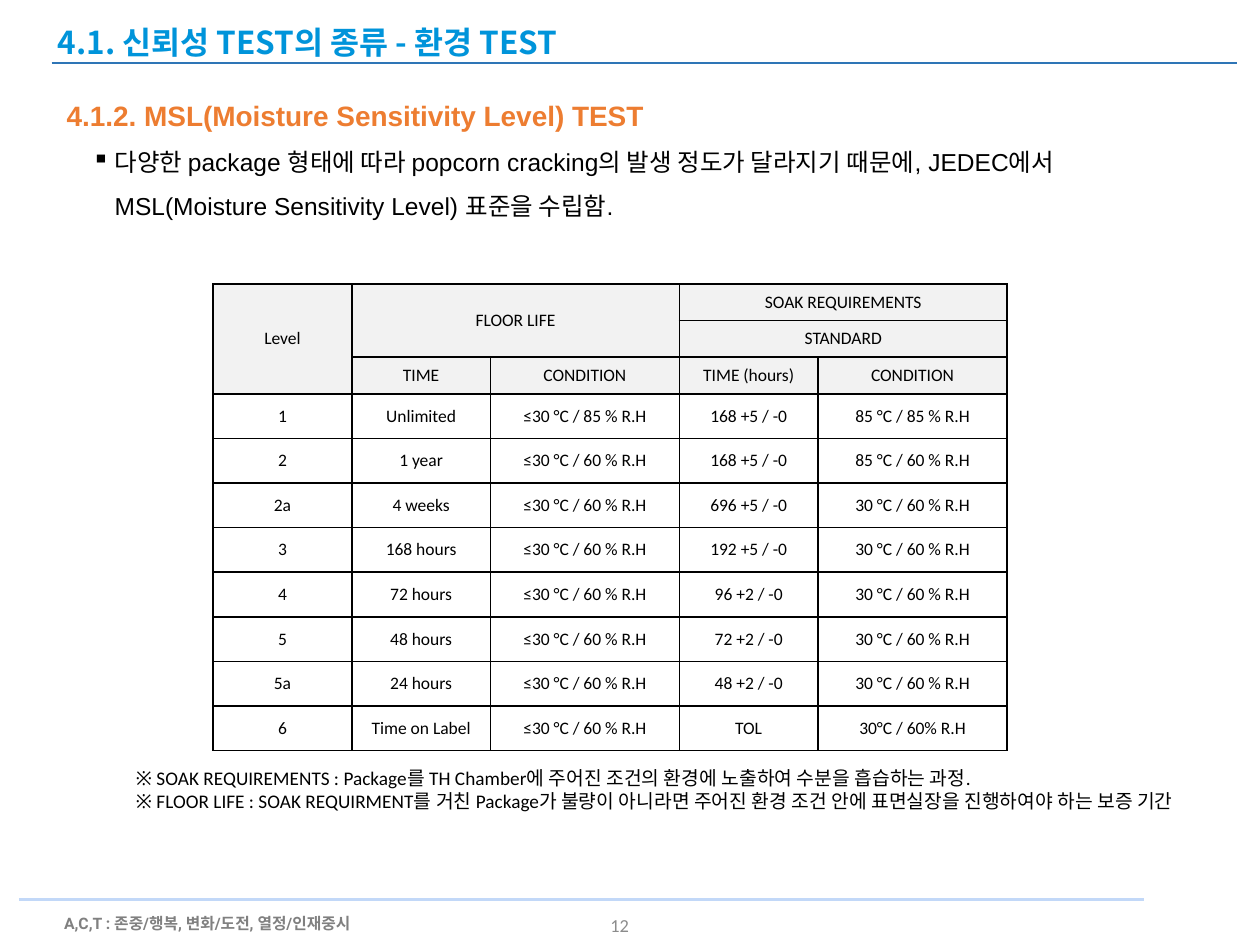
"""Build the MSL test slide with its moisture sensitivity level table."""
from lxml import etree
from pptx import Presentation
from pptx.dml.color import RGBColor
from pptx.enum import shapes, text
from pptx.oxml import ns
from pptx.util import Pt

BLACK = RGBColor(0x00, 0x00, 0x00)
TITLE_BLUE = RGBColor(0x00, 0x94, 0xDA)
RULE_BLUE = RGBColor(0x2E, 0x75, 0xB6)
PALE_BLUE = RGBColor(0xC2, 0xD8, 0xF8)
ORANGE = RGBColor(0xED, 0x7D, 0x31)
FOOTER_GRAY = RGBColor(0x80, 0x80, 0x80)
NUMBER_GRAY = RGBColor(0x8C, 0x8C, 0x8C)
HEADER_GRAY = RGBColor(0xF2, 0xF2, 0xF2)

RULES = [(29.5, 707, 36, RULE_BLUE, 1), (10.8, 653.8, 514, PALE_BLUE, 2.25)]

FOOTER = "A,C,T : 존중/행복, 변화/도전, 열정/인재중시"
TITLE = "4.1. 신뢰성 TEST의 종류 - 환경 TEST"
HEADING = "4.1.2. MSL(Moisture Sensitivity Level) TEST"
SUMMARY = ("다양한 package 형태에 따라 popcorn cracking의 발생 정도가 달라지기 때문에, "
           "JEDEC에서 MSL(Moisture Sensitivity Level) 표준을 수립함.")
NOTES = [
    "※ SOAK REQUIREMENTS : Package를 TH Chamber에 주어진 조건의 환경에 노출하여 수분을 흡습하는 과정.",
    "※ FLOOR LIFE : SOAK REQUIRMENT를 거친 Package가 불량이 아니라면 "
    "주어진 환경 조건 안에 표면실장을 진행하여야 하는 보증 기간",
]

HEADER_ROWS = [
    ("Level", "FLOOR LIFE", "", "SOAK REQUIREMENTS", ""),
    ("", "", "", "STANDARD", ""),
    ("", "TIME", "CONDITION", "TIME (hours)", "CONDITION"),
]
LEVEL_ROWS = [
    ("1", "Unlimited", "≤30 °C / 85 % R.H", "168 +5 / -0", "85 °C / 85 % R.H"),
    ("2", "1 year", "≤30 °C / 60 % R.H", "168 +5 / -0", "85 °C / 60 % R.H"),
    ("2a", "4 weeks", "≤30 °C / 60 % R.H", "696 +5 / -0", "30 °C / 60 % R.H"),
    ("3", "168 hours", "≤30 °C / 60 % R.H", "192 +5 / -0", "30 °C / 60 % R.H"),
    ("4", "72 hours", "≤30 °C / 60 % R.H", "96 +2 / -0", "30 °C / 60 % R.H"),
    ("5", "48 hours", "≤30 °C / 60 % R.H", "72 +2 / -0", "30 °C / 60 % R.H"),
    ("5a", "24 hours", "≤30 °C / 60 % R.H", "48 +2 / -0", "30 °C / 60 % R.H"),
    ("6", "Time on Label", "≤30 °C / 60 % R.H", "TOL", "30°C / 60% R.H"),
]
MERGES = [((0, 0), (2, 0)), ((0, 1), (1, 2)), ((0, 3), (0, 4)), ((1, 3), (1, 4))]
COLUMN_WIDTHS = [79.2, 79.2, 108, 79.2, 108]
HEADER_HEIGHT, LEVEL_HEIGHT = 20.95, 25.5


def style(paragraph, size, name, color, bold=False):
    font = paragraph.font
    font.size, font.name, font.bold = Pt(size), name, bold
    font.color.rgb = color


def add_rule(slide, left, right, y, color, width):
    line = slide.shapes.add_connector(
        shapes.MSO_CONNECTOR.STRAIGHT, Pt(left), Pt(y), Pt(right), Pt(y))
    line.line.color.rgb = color
    line.line.width = Pt(width)
    etree.SubElement(line._element.spPr, ns.qn("a:effectLst"))


def add_text(slide, box, lines, *font):
    frame = slide.shapes.add_textbox(*map(Pt, box)).text_frame
    frame.word_wrap = True
    frame.text = "\n".join(lines)
    for paragraph in frame.paragraphs:
        style(paragraph, *font)
    return frame


def add_body(slide):
    frame = slide.shapes.add_textbox(Pt(31), Pt(43.2), Pt(663), Pt(367)).text_frame
    frame.word_wrap = True
    frame.text = f"{HEADING}\n{SUMMARY}"
    heading, summary = frame.paragraphs
    heading.line_spacing = summary.line_spacing = 1.5
    properties = summary._p.get_or_add_pPr()
    properties.set("marL", str(Pt(27.4)))
    properties.set("indent", str(-Pt(13)))
    etree.SubElement(properties, ns.qn("a:buChar"), char="▪")
    style(heading, 16, "Arial", ORANGE, True)
    style(summary, 14, "Arial", BLACK)


def add_borders(cell):
    properties = cell._tc.get_or_add_tcPr()
    for side in ("lnL", "lnR", "lnT", "lnB"):
        border = etree.SubElement(properties, ns.qn(f"a:{side}"), w=str(Pt(1)))
        fill = etree.SubElement(border, ns.qn("a:solidFill"))
        etree.SubElement(fill, ns.qn("a:srgbClr"), val=str(BLACK))


def add_level_table(slide):
    rows = HEADER_ROWS + LEVEL_ROWS
    heights = [HEADER_HEIGHT] * len(HEADER_ROWS) + [LEVEL_HEIGHT] * len(LEVEL_ROWS)
    table = slide.shapes.add_table(
        len(rows), len(COLUMN_WIDTHS), Pt(121.8), Pt(162.2),
        Pt(sum(COLUMN_WIDTHS)), Pt(sum(heights))).table
    for column, width in zip(table.columns, COLUMN_WIDTHS):
        column.width = Pt(width)
    for i, (values, height) in enumerate(zip(rows, heights)):
        table.rows[i].height = Pt(height)
        is_header = i < len(HEADER_ROWS)
        side, end = (1.4, 4.3) if is_header else (5, 5)
        for j, value in enumerate(values):
            cell = table.cell(i, j)
            cell.text = value
            cell.vertical_anchor = text.MSO_ANCHOR.MIDDLE
            cell.margin_left = cell.margin_right = Pt(side)
            cell.margin_top = cell.margin_bottom = Pt(end)
            add_borders(cell)
            if is_header:
                cell.fill.solid()
                cell.fill.fore_color.rgb = HEADER_GRAY
            else:
                cell.fill.background()
            paragraph = cell.text_frame.paragraphs[0]
            paragraph.alignment = text.PP_ALIGN.CENTER
            style(paragraph, 10, "Calibri", BLACK)
    for first, last in MERGES:
        table.cell(*first).merge(table.cell(*last))


def main():
    presentation = Presentation()
    presentation.slide_width, presentation.slide_height = Pt(720), Pt(540)
    slide = presentation.slides.add_slide(presentation.slide_layouts[6])
    for rule in RULES:
        add_rule(slide, *rule)
    add_text(slide, (29.5, 518.4, 203, 18), [FOOTER], 9, "Roboto", FOOTER_GRAY, True)
    add_text(slide, (26, 9.4, 357, 29), [TITLE], 18, "Noto Sans CJK KR", TITLE_BLUE, True)
    number = add_text(slide, (338.4, 514, 28, 29), ["12"], 10.5, "Calibri", NUMBER_GRAY)
    number.vertical_anchor = text.MSO_ANCHOR.MIDDLE
    number.paragraphs[0].alignment = text.PP_ALIGN.RIGHT
    add_body(slide)
    add_level_table(slide)
    add_text(slide, (70.6, 434.2, 641, 34), NOTES, 11, "Calibri", BLACK)
    presentation.save("out.pptx")


if __name__ == "__main__":
    main()
